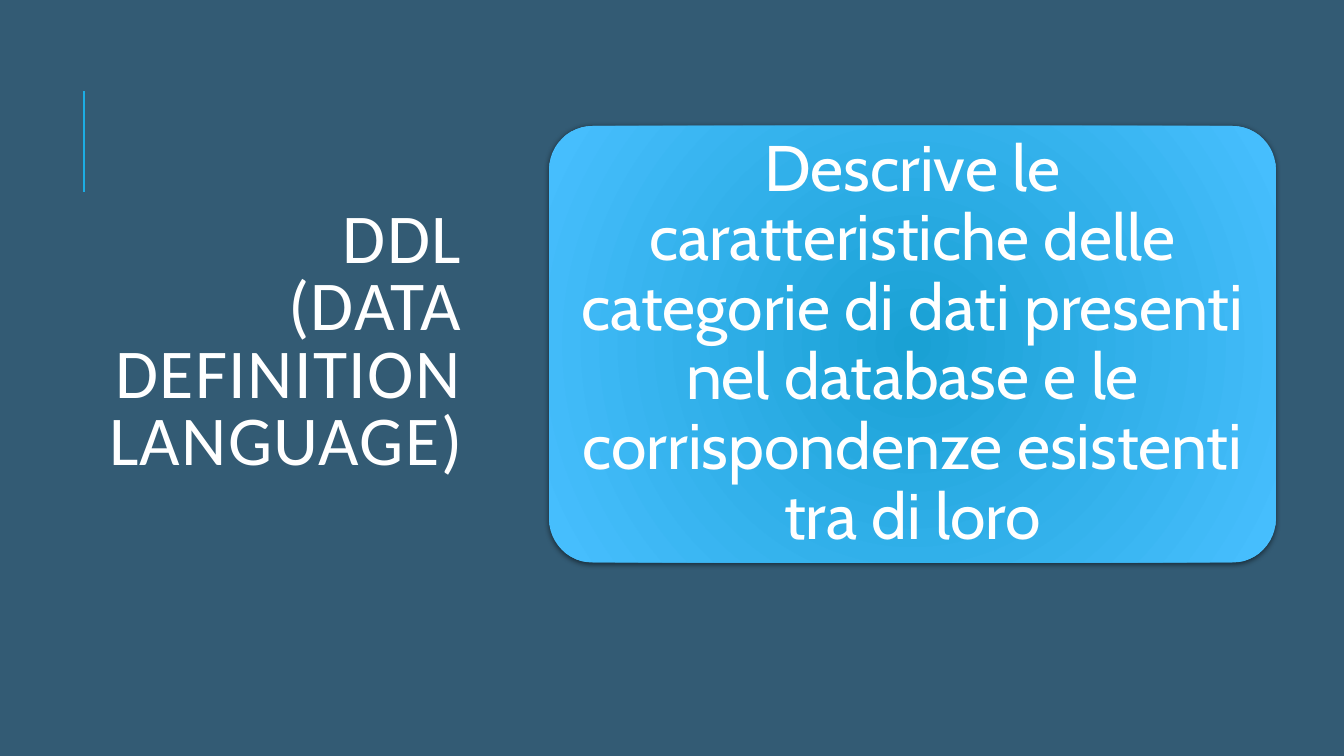
import pptx
import pptx.util
import pptx.dml.color
import pptx.enum.shapes
import pptx.enum.text
import pptx.oxml
import pptx.oxml.ns

Pt = pptx.util.Pt
Color = pptx.dml.color.RGBColor
Align = pptx.enum.text.PP_ALIGN
qn = pptx.oxml.ns.qn
NS = pptx.oxml.ns.nsdecls("a")

BACK = Color(0x33, 0x5B, 0x74)
ACCENT = Color(0x1C, 0xAD, 0xE4)
INNER = Color(0x1A, 0xA1, 0xD4)
OUTER = Color(0x48, 0xBF, 0xFF)
WHITE = Color(0xFF, 0xFF, 0xFF)

RADIAL = (f'<a:path {NS} path="circle"><a:fillToRect l="100000" t="100000" '
          'r="100000" b="100000"/></a:path>')
SHADOW = (f'<a:outerShdw {NS} blurRad="50800" dist="12700" dir="5400000" '
          'rotWithShape="0"><a:srgbClr val="000000"><a:alpha val="50000"/>'
          '</a:srgbClr></a:outerShdw>')


def add_run(para, text, font, size):
    run = para.add_run()
    run.text = text
    run.font.name = font
    run.font.size = Pt(size)
    run.font.color.rgb = WHITE
    return run


def set_frame(frame, inset=None):
    frame.word_wrap = True
    frame.auto_size = pptx.enum.text.MSO_AUTO_SIZE.NONE
    frame.vertical_anchor = pptx.enum.text.MSO_ANCHOR.MIDDLE
    if inset is not None:
        frame.margin_left = frame.margin_right = Pt(inset)
        frame.margin_top = frame.margin_bottom = Pt(inset)


def add_rule(slide, left, top, height):
    rule = slide.shapes.add_connector(
        pptx.enum.shapes.MSO_CONNECTOR.STRAIGHT,
        Pt(left), Pt(top + height), Pt(left), Pt(top))
    rule.line.color.rgb = ACCENT
    rule.line.width = Pt(1.5)
    rule._element.spPr.append(pptx.oxml.parse_xml(f"<a:effectLst {NS}/>"))


def set_title(slide, left, top, width, height, lines):
    title = slide.shapes.title
    title.left, title.top = Pt(left), Pt(top)
    title.width, title.height = Pt(width), Pt(height)
    set_frame(title.text_frame)
    para = title.text_frame.paragraphs[0]
    para.alignment = Align.RIGHT
    para.line_spacing = 0.8
    for i, line in enumerate(lines):
        if i:
            para.add_line_break()
        run = add_run(para, line, "Calibri", 50)
        run.font._element.set("spc", "100")


def add_card(slide, left, top, width, height, text):
    group = slide.shapes.add_group_shape()
    card = group.shapes.add_shape(
        pptx.enum.shapes.MSO_SHAPE.ROUNDED_RECTANGLE,
        Pt(left), Pt(top), Pt(width), Pt(height))
    card.adjustments[0] = 0.1
    card.line.fill.background()
    card.fill.gradient()
    for stop, color in zip(card.fill.gradient_stops, (INNER, OUTER)):
        stop.color.rgb = color
    props = card._element.spPr
    grad = props.find(qn("a:gradFill"))
    grad.replace(grad.find(qn("a:lin")), pptx.oxml.parse_xml(RADIAL))
    card.shadow.inherit = False
    props.find(qn("a:effectLst")).append(pptx.oxml.parse_xml(SHADOW))

    pad = 9
    label = group.shapes.add_textbox(
        Pt(left + pad), Pt(top + pad),
        Pt(width - 2 * pad), Pt(height - 2 * pad))
    set_frame(label.text_frame, 13.8)
    para = label.text_frame.paragraphs[0]
    para.alignment = Align.CENTER
    para.line_spacing = 0.9
    add_run(para, text, "Cabin", 46)


def main():
    deck = pptx.Presentation()
    deck.slide_width, deck.slide_height = Pt(960), Pt(540)
    slide = deck.slides.add_slide(deck.slide_layouts[5])
    slide.background.fill.solid()
    slide.background.fill.fore_color.rgb = BACK
    add_rule(slide, 60, 65, 72)
    set_title(slide, 50.4, 50.4, 287.3, 391,
              ["DDL", "(DATA DEFINITION LANGUAGE)"])
    add_card(slide, 392.2, 90, 519.2, 311.8,
             "Descrive le caratteristiche delle categorie di dati presenti "
             "nel database e le corrispondenze esistenti tra di loro")
    deck.save("out.pptx")


if __name__ == "__main__":
    main()
